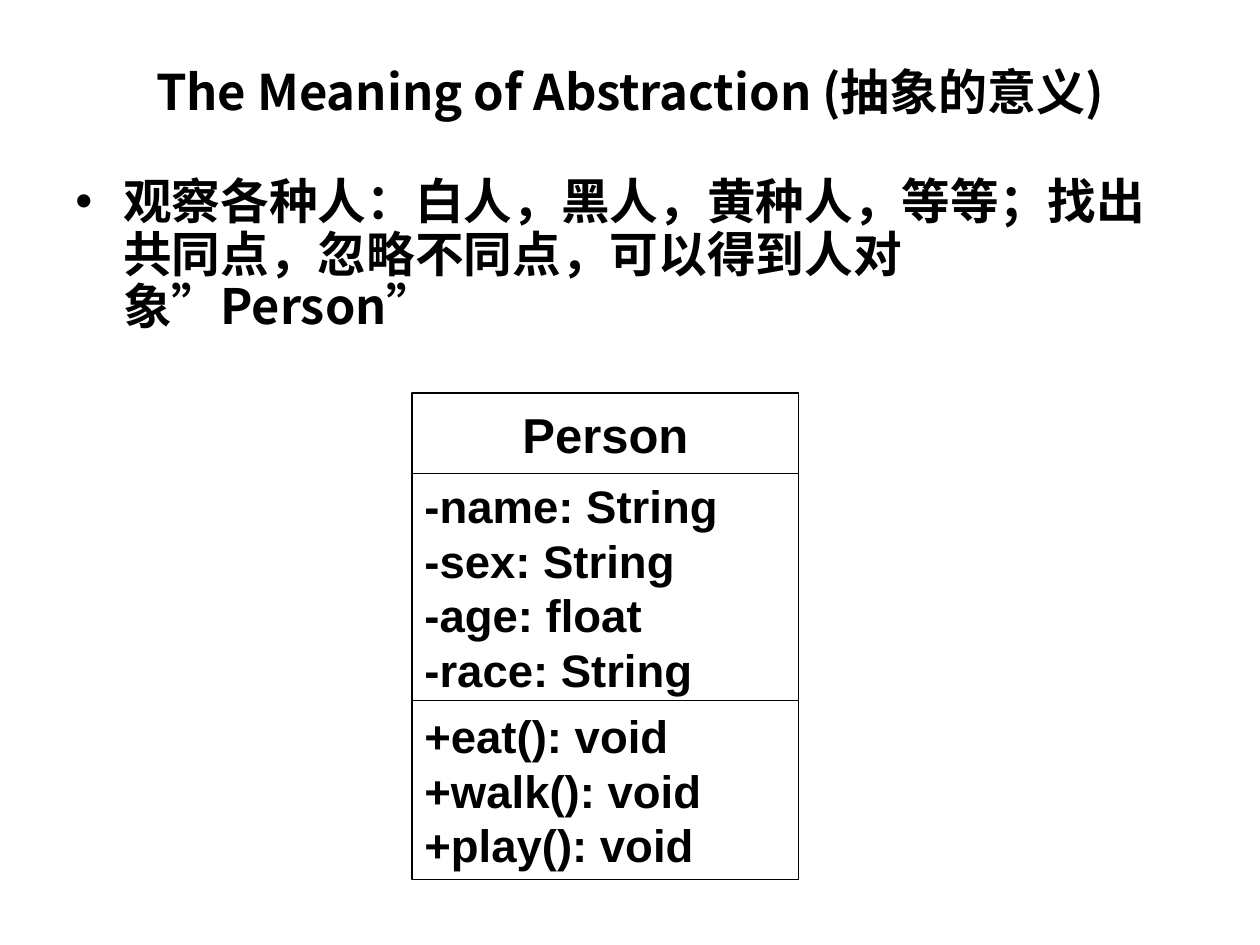
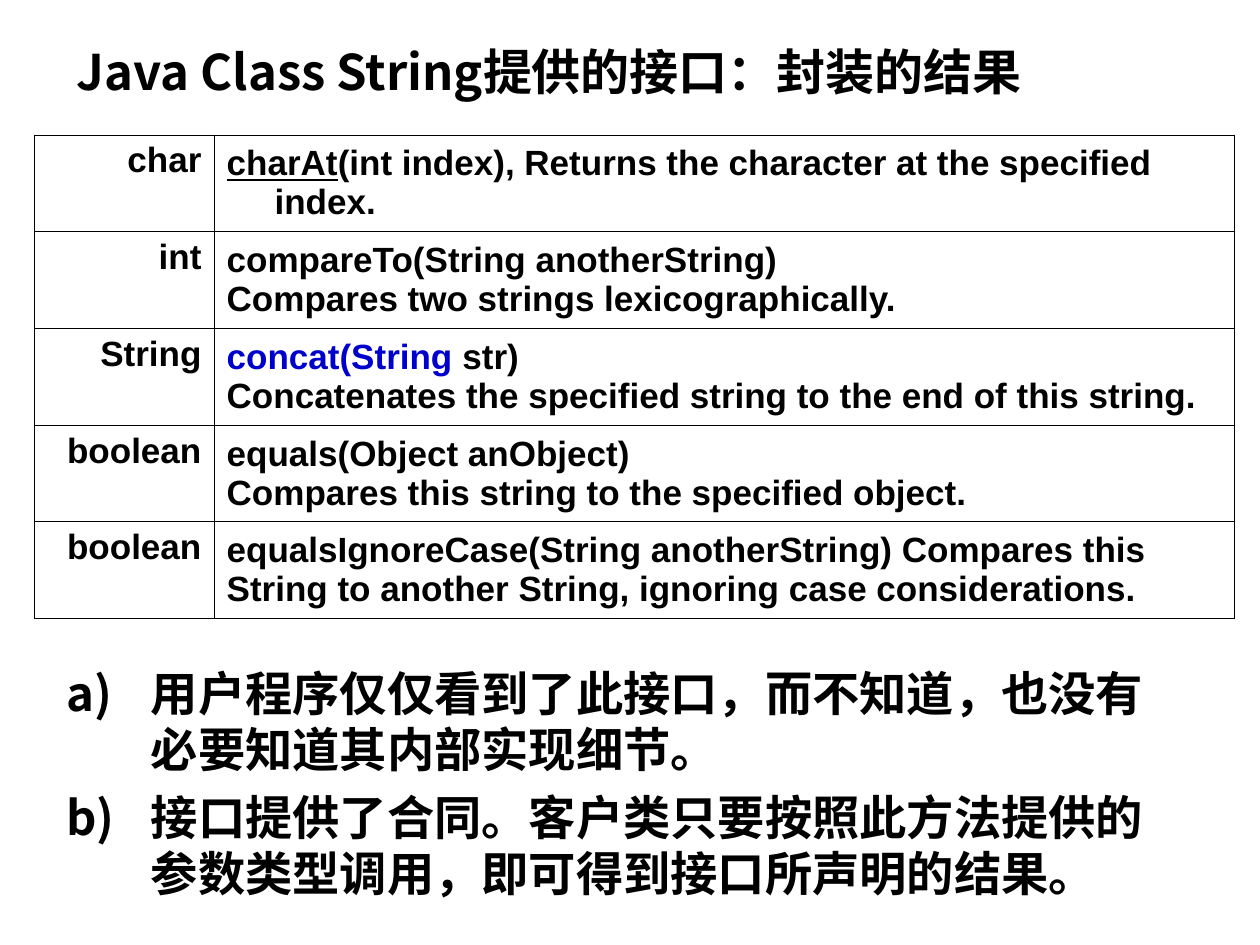
from lxml import etree
from pptx import Presentation
from pptx import util as u
from pptx.dml.color import RGBColor
from pptx.enum import shapes, text
from pptx.oxml.ns import qn

BLACK = RGBColor(0x00, 0x00, 0x00)
WHITE = RGBColor(0xFF, 0xFF, 0xFF)
LINK_BLUE = RGBColor(0x00, 0x00, 0xCC)
LATIN = "Arial"
CHINESE = "Noto Sans CJK SC"
WIDTH, HEIGHT = u.Inches(10), u.Inches(7.5)
COLUMNS, ROWS = 100, 75
TITLE_SIZE = 28

ATTRIBUTES = ["-name: String", "-sex: String", "-age: float", "-race: String"]
OPERATIONS = ["+eat(): void", "+walk(): void", "+play(): void"]
METHODS = [
    ("char", [["charAt", "(int index), Returns the character at the specified index."]]),
    ("int", [["compareTo(String anotherString)"], ["Compares two strings lexicographically."]]),
    ("String", [["concat(String", " str)"],
                ["Concatenates the specified string to the end of this string."]]),
    ("boolean", [["equals(Object anObject)"], ["Compares this string to the specified object."]]),
    ("boolean", [["equalsIgnoreCase(String anotherString) Compares this"],
                 ["String to another String, ignoring case considerations."]]),
]
CONCLUSIONS = [
    "用户程序仅仅看到了此接口，而不知道，也没有必要知道其内部实现细节。",
    "接口提供了合同。客户类只要按照此方法提供的参数类型调用，即可得到接口所声明的结果。",
]


def area(left, top, width, height):
    """Turn grid columns and rows into a position and size."""
    across, down = WIDTH / COLUMNS, HEIGHT / ROWS
    return [round(n) for n in (left * across, top * down, width * across, height * down)]


def child(parent, tag, **attributes):
    """Append an element of the drawing namespace."""
    return etree.SubElement(parent, qn(tag), attributes)


def style(paragraph, size, typeface, align=text.PP_ALIGN.LEFT, spacing=None):
    """Give a paragraph its bold black font, alignment and line spacing."""
    paragraph.alignment = align
    if spacing:
        paragraph.line_spacing = spacing
    font = paragraph.font
    font.size, font.bold, font.name = u.Pt(size), True, typeface
    font.color.rgb = BLACK
    child(paragraph._p.pPr.find(qn("a:defRPr")), "a:ea", typeface=typeface)


def hang(paragraph, indent, marker=None, **marker_attributes):
    """Set a hanging indent and, if named, a list marker."""
    properties = paragraph._p.get_or_add_pPr()
    properties.set("marL", str(indent))
    properties.set("indent", str(-indent))
    if marker:
        child(child(properties, "a:buClr"), "a:srgbClr", val=str(BLACK))
        child(properties, "a:buFont", typeface=marker_attributes.pop("typeface"))
        child(properties, marker, **marker_attributes)


def write_lines(frame, lines):
    """Fill a text frame with one paragraph a line and return the paragraphs."""
    for number, line in enumerate(lines):
        paragraph = frame.add_paragraph() if number else frame.paragraphs[0]
        for part in [line] if isinstance(line, str) else line:
            paragraph.add_run().text = part
    return frame.paragraphs


def add_titled_slide(deck, heading, box, align):
    """Add a title-only slide with its heading placed on the grid."""
    slide = deck.slides.add_slide(deck.slide_layouts[5])
    title = slide.shapes.title
    title.left, title.top, title.width, title.height = area(*box)
    frame = title.text_frame
    frame.auto_size = text.MSO_AUTO_SIZE.NONE
    frame.vertical_anchor = text.MSO_ANCHOR.MIDDLE
    style(write_lines(frame, [heading])[0], TITLE_SIZE, CHINESE, align)
    return slide


def add_list(slide, items, box, size, spacing, indent, gap, marker, **marker_attributes):
    """Add a text box of marked paragraphs."""
    frame = slide.shapes.add_textbox(*area(*box)).text_frame
    frame.word_wrap = True
    for number, paragraph in enumerate(write_lines(frame, items)):
        hang(paragraph, indent, marker, **marker_attributes)
        if number:
            paragraph.space_before = u.Pt(gap)
        style(paragraph, size, CHINESE, spacing=spacing)


def add_class_diagram(slide, left, top, width, compartments):
    """Stack the compartments of a class as a group of rectangles."""
    diagram = slide.shapes.add_group_shape()
    for lines, height, size, align in compartments:
        compartment = diagram.shapes.add_shape(
            shapes.MSO_SHAPE.RECTANGLE, *area(left, top, width, height))
        compartment.shadow.inherit = False
        compartment.fill.solid()
        compartment.fill.fore_color.rgb = WHITE
        compartment.line.color.rgb = BLACK
        compartment.line.width = u.Pt(0.75)
        frame = compartment.text_frame
        frame.word_wrap = False
        frame.vertical_anchor = text.MSO_ANCHOR.MIDDLE
        for paragraph in write_lines(frame, lines):
            style(paragraph, size, LATIN, align)
        top += height


def format_cell(cell, lines, align, anchor):
    """Write a bordered white table cell."""
    cell.vertical_anchor = anchor
    properties = cell._tc.get_or_add_tcPr()
    for side in ("a:lnL", "a:lnR", "a:lnT", "a:lnB"):
        border = child(properties, side, w=str(u.Pt(0.34)))
        child(child(border, "a:solidFill"), "a:srgbClr", val=str(BLACK))
    cell.fill.solid()
    cell.fill.fore_color.rgb = WHITE
    for paragraph in write_lines(cell.text_frame, lines):
        hang(paragraph, u.Inches(0.38))
        style(paragraph, 20, LATIN, align)


def add_method_table(slide, box, type_share):
    """Add the table of return types and methods."""
    table = slide.shapes.add_table(len(METHODS), 2, *area(*box)).table
    table.first_row = table.horz_banding = False
    total = table.columns[0].width + table.columns[1].width
    table.columns[0].width = round(total * type_share)
    table.columns[1].width = total - table.columns[0].width
    for row, (return_type, description) in enumerate(METHODS):
        format_cell(table.cell(row, 0), [return_type], text.PP_ALIGN.RIGHT, text.MSO_ANCHOR.TOP)
        format_cell(table.cell(row, 1), description, text.PP_ALIGN.LEFT, text.MSO_ANCHOR.MIDDLE)
    return table


def build_abstraction(deck):
    """Build the slide on the meaning of abstraction."""
    slide = add_titled_slide(deck, "The Meaning of Abstraction (抽象的意义)",
                             (5, 3, 90, 8.5), text.PP_ALIGN.CENTER)
    add_list(slide, ["观察各种人：白人，黑人，黄种人，等等；找出共同点，忽略不同点，可以得到人对象”Person”"],
             (5, 13.6, 90, 15.3), 27.8, 0.9, u.Inches(0.38), 7.5,
             "a:buChar", typeface=LATIN, char="•")
    add_class_diagram(slide, 32.7, 31.2, 30.7, [
        (["Person"], 6.4, 28, text.PP_ALIGN.CENTER),
        (ATTRIBUTES, 18, 26, text.PP_ALIGN.LEFT),
        (OPERATIONS, 14.2, 26, text.PP_ALIGN.LEFT),
    ])


def build_interface(deck):
    """Build the slide on the interface of the String class."""
    slide = add_titled_slide(deck, "Java Class String提供的接口：封装的结果",
                             (5.1, 2.8, 87.4, 5.7), text.PP_ALIGN.LEFT)
    table = add_method_table(slide, (2.7, 10.7, 95.3, 38.4), 0.15)
    char_at = table.cell(0, 1).text_frame.paragraphs[0].runs[0]
    char_at.font.underline = True
    concat = table.cell(2, 1).text_frame.paragraphs[0].runs[0]
    concat.font.color.rgb = LINK_BLUE
    add_list(slide, CONCLUSIONS, (4.3, 52.2, 90.6, 19.9), 27, None, u.Inches(0.67), 6,
             "a:buAutoNum", typeface=CHINESE, type="alphaLcParenR")


def main():
    """Build and save the presentation."""
    deck = Presentation()
    deck.slide_width, deck.slide_height = WIDTH, HEIGHT
    build_abstraction(deck)
    build_interface(deck)
    deck.save("out.pptx")


if __name__ == "__main__":
    main()
